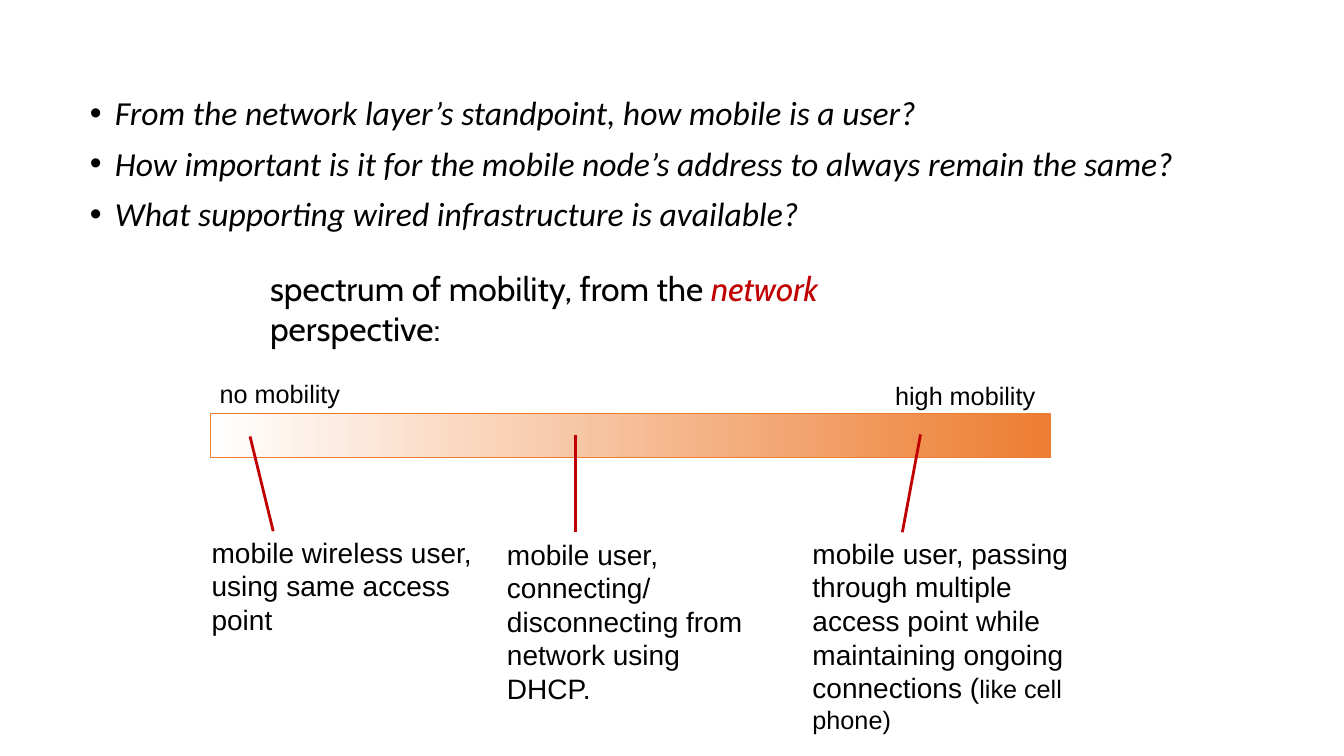
from pptx import Presentation
from pptx.dml.color import RGBColor
from pptx.enum.shapes import MSO_CONNECTOR, MSO_SHAPE
from pptx.enum.text import MSO_ANCHOR, MSO_AUTO_SIZE, PP_ALIGN
from pptx.oxml.ns import qn
from pptx.util import Inches, Pt
from lxml.etree import SubElement

# Content
HEX = {"ink": "000000", "red": "C00000", "orange": "ED7D31", "white": "FFFFFF"}
POINTS = [
    "From the network layer’s standpoint, how mobile is a user?",
    "How important is it for the mobile node’s address to always remain the same?",
    "What supporting wired infrastructure is available?",
]
# Each box: left, top, width, height, wrap, font, paragraphs of (text, size, colour, italic)
BOXES = [
    (2.08, 3.7, 1.41, 0.4, False, "Arial", [[("no mobility", 18, "ink", False)]]),
    (8.78, 3.72, 1.6, 0.4, False, "Arial", [[("high mobility", 18, "ink", False)]]),
    (2, 5.26, 2.98, 1.1, False, "Arial", [
        [("mobile wireless user,", 20, "ink", False)],
        [("using same access", 20, "ink", False)],
        [("point", 20, "ink", False)]]),
    (4.93, 5.28, 2.66, 1.77, True, "Arial", [
        [("mobile user, connecting/ disconnecting from network using DHCP.",
          20, "ink", False)]]),
    (7.96, 5.27, 2.94, 2.07, True, "Arial", [
        [("mobile user, passing through multiple access point while "
          "maintaining ongoing connections (", 20, "ink", False),
         ("like cell phone)", 18, "ink", False)]]),
    (2.58, 2.61, 7.16, 0.5, True, "Cabin", [
        [("spectrum of mobility, from the ", 24, "ink", False),
         ("network ", 24, "red", True),
         ("perspective:", 24, "ink", False)]]),
]
# Each pointer: x and y at the caption, x and y on the bar
LINES = [
    (2.71, 5.27, 2.48, 4.33),
    (5.71, 5.28, 5.71, 4.32),
    (8.95, 5.28, 9.13, 4.31),
]


def color(name):
    return RGBColor.from_string(HEX[name])


def style(font, face, size, ink, slant):
    font.name, font.size, font.italic = face, Pt(size), slant
    font.color.rgb = color(ink)


def place(shape, *sides):
    shape.left, shape.top, shape.width, shape.height = map(Inches, sides)


def add_list(slide):
    body = slide.placeholders[1]
    place(body, 0.79, 0.91, 11.5, 1.55)
    frame = body.text_frame
    frame.text = "\n".join(POINTS)
    frame.auto_size = MSO_AUTO_SIZE.NONE
    frame.vertical_anchor = MSO_ANCHOR.TOP
    for i, para in enumerate(frame.paragraphs):
        para.line_spacing = 0.9
        para.space_before = Pt(10 if i else 0)
        props = para._p.get_or_add_pPr()
        props.set("marL", str(Inches(0.25)))
        props.set("indent", str(-Inches(0.25)))
        SubElement(props, qn("a:buFont")).set("typeface", "Arial")
        SubElement(props, qn("a:buChar")).set("char", "•")
        style(para.runs[0].font, "Calibri", 24, "ink", True)


def add_bar(slide):
    bar = slide.shapes.add_shape(MSO_SHAPE.RECTANGLE, 0, 0, 0, 0)
    place(bar, 2.09, 4.1, 8.33, 0.44)
    bar.shadow.inherit = False
    bar.fill.gradient()
    bar.fill.gradient_angle = 0
    for stop, spot, name in zip(bar.fill.gradient_stops, (0, 1), ("white", "orange")):
        stop.position = spot
        stop.color.rgb = color(name)
    bar.line.color.rgb = color("orange")
    bar.line.width = Pt(0.75)


def add_box(slide, left, top, width, height, wrap, face, paras):
    box = slide.shapes.add_textbox(*map(Inches, (left, top, width, height)))
    frame = box.text_frame
    frame.word_wrap = wrap
    frame.auto_size = MSO_AUTO_SIZE.SHAPE_TO_FIT_TEXT
    for i, parts in enumerate(paras):
        para = frame.add_paragraph() if i else frame.paragraphs[0]
        para.alignment = PP_ALIGN.LEFT
        for text, size, ink, slant in parts:
            run = para.add_run()
            run.text = text
            style(run.font, face, size, ink, slant)


def add_line(slide, *ends):
    line = slide.shapes.add_connector(MSO_CONNECTOR.STRAIGHT, *map(Inches, ends))
    line.line.color.rgb = color("red")
    line.line.width = Pt(2)
    SubElement(line._element.spPr, qn("a:effectLst"))


def main():
    deck = Presentation()
    deck.slide_width, deck.slide_height = Inches(13.33), Inches(7.5)
    slide = deck.slides.add_slide(deck.slide_layouts[1])

    # The slide has no title
    title = slide.shapes.title._element
    title.getparent().remove(title)

    # Questions, then the spectrum with its captions and pointers
    add_list(slide)
    add_bar(slide)
    for box in BOXES:
        add_box(slide, *box)
    for ends in LINES:
        add_line(slide, *ends)
    deck.save("out.pptx")


if __name__ == "__main__":
    main()
